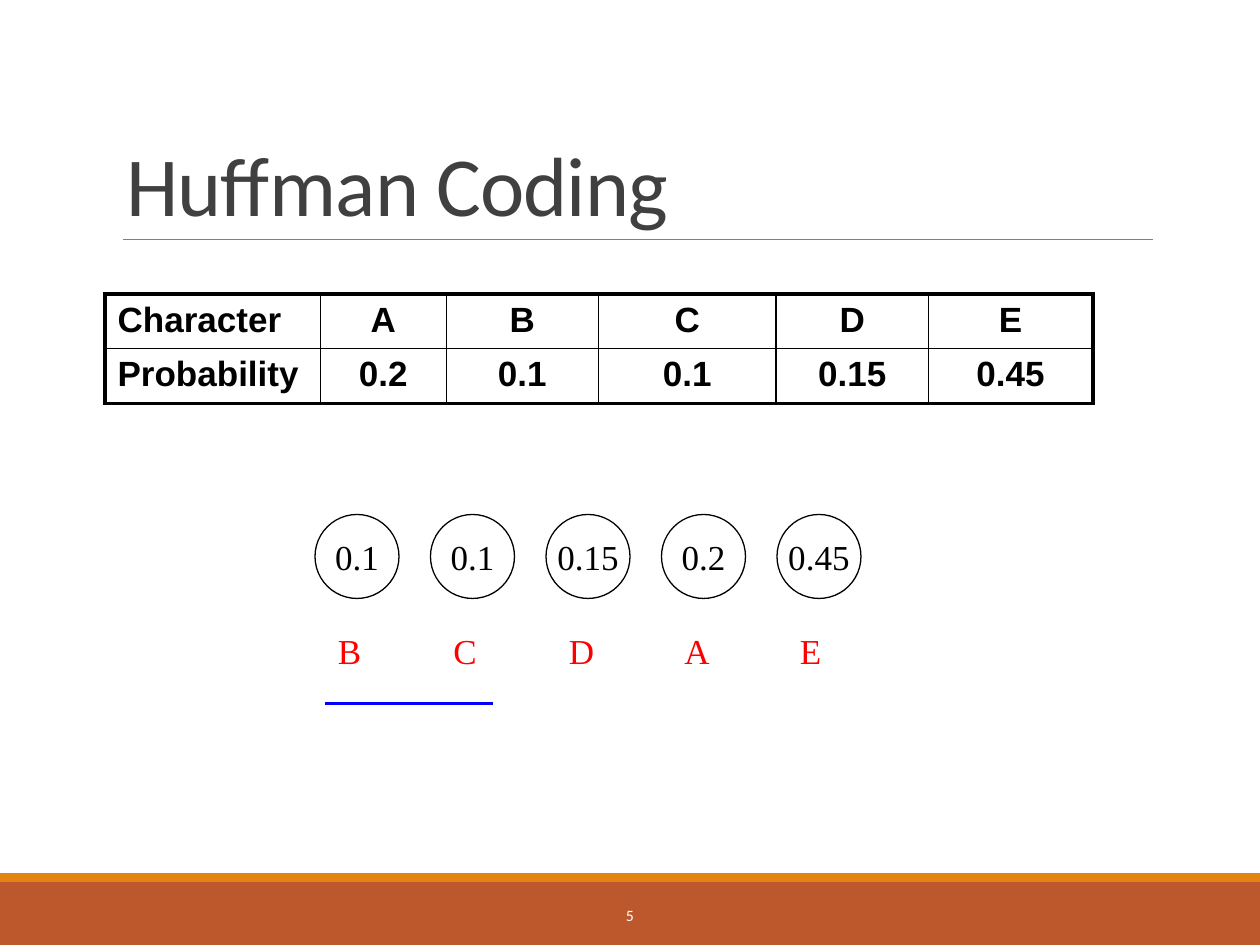
from dataclasses import dataclass

from lxml.etree import SubElement
from pptx import Presentation
from pptx.dml.color import RGBColor
from pptx.enum.shapes import MSO_CONNECTOR, MSO_SHAPE
from pptx.enum.text import MSO_ANCHOR, PP_ALIGN
from pptx.oxml import parse_xml
from pptx.oxml.ns import nsdecls, qn
from pptx.util import Pt


@dataclass(frozen=True)
class Theme:
    black: str = "000000"
    white: str = "FFFFFF"
    title: str = "404040"
    rule: str = "808080"
    band: str = "BD582C"
    stripe: str = "E48312"
    label: str = "FF0000"
    mark: str = "0000FF"
    title_size: float = 48
    body_size: float = 20
    number_size: float = 9
    title_font: str = "Calibri"
    table_font: str = "Arial"
    node_font: str = "Times New Roman"
    thin: float = 1
    thick: float = 2.25


THEME = Theme()
SYMBOLS = [("A", "0.2"), ("B", "0.1"), ("C", "0.1"), ("D", "0.15"), ("E", "0.45")]


def rgb(color):
    return RGBColor.from_string(color)


def write(tf, text, font, size, color, align=PP_ALIGN.LEFT, bold=False):
    p = tf.paragraphs[0]
    p.text = text
    p.alignment = align
    p.font.name, p.font.size, p.font.bold = font, Pt(size), bold
    p.font.color.rgb = rgb(color)
    return p


def add_text(shapes, box, *style, **options):
    tf = shapes.add_textbox(*map(Pt, box)).text_frame
    tf.word_wrap = True
    tf.vertical_anchor = MSO_ANCHOR.MIDDLE
    write(tf, *style, **options)


def add_rule(shapes, x, y, width, color, weight):
    line = shapes.add_connector(MSO_CONNECTOR.STRAIGHT, Pt(x), Pt(y), Pt(x + width), Pt(y))
    line.line.color.rgb = rgb(color)
    line.line.width = Pt(weight)
    SubElement(line._element.spPr, qn("a:effectLst"))


def add_band(shapes, box, color):
    sp = shapes.add_shape(MSO_SHAPE.RECTANGLE, *map(Pt, box))
    sp.shadow.inherit = False
    sp.fill.solid()
    sp.fill.fore_color.rgb = rgb(color)
    sp.line.fill.background()


def add_footer(s, x, y, width, height):
    stripe = 5
    add_band(s.shapes, (x, y + stripe, width, height - stripe), THEME.band)
    add_band(s.shapes, (x, y, width, stripe), THEME.stripe)
    add_text(s.shapes, (x + 217.5, y + 9.5, 285, 28.75), "5", THEME.title_font,
             THEME.number_size, THEME.white, align=PP_ALIGN.CENTER)


def add_title(s, x, y, width, height):
    title = s.shapes.title
    title.left, title.top, title.width, title.height = map(Pt, (x, y, width, height))
    tf = title.text_frame
    tf.word_wrap = True
    tf.vertical_anchor = MSO_ANCHOR.BOTTOM
    p = write(tf, "Huffman Coding", THEME.title_font, THEME.title_size, THEME.title)
    p.line_spacing = 0.85
    p.runs[0]._r.get_or_add_rPr().set("spc", "-50")
    add_rule(s.shapes, x + 5.5, y + height, width - 5.5, THEME.rule, 0.5)


def set_borders(cell, weights):
    """Draw the left, right, top and bottom borders of a cell."""
    tc_pr = cell._tc.get_or_add_tcPr()
    for i, (side, weight) in enumerate(zip("LRTB", weights)):
        tc_pr.insert(i, parse_xml(
            f'<a:ln{side} {nsdecls("a")} w="{Pt(weight)}"><a:solidFill>'
            f'<a:srgbClr val="{THEME.black}"/></a:solidFill></a:ln{side}>'))


def add_probability_table(s, x, y, widths, row_height):
    rows = list(zip(("Character", "Probability"), *SYMBOLS))
    last_row, last_col = len(rows) - 1, len(widths) - 1
    table = s.shapes.add_table(len(rows), len(widths), Pt(x), Pt(y), Pt(sum(widths)),
                               Pt(row_height * len(rows))).table
    for col, width in zip(table.columns, widths):
        col.width = Pt(width)
    for r, texts in enumerate(rows):
        table.rows[r].height = Pt(row_height)
        for c, text in enumerate(texts):
            cell = table.cell(r, c)
            cell.fill.background()
            write(cell.text_frame, text, THEME.table_font, THEME.body_size, THEME.black,
                  align=PP_ALIGN.CENTER if c else PP_ALIGN.LEFT, bold=True)
            outer = (c == 0, c == last_col, r == 0, r == last_row)
            set_borders(cell, [THEME.thick if edge else THEME.thin for edge in outer])


def add_node(shapes, x, y, size, text):
    sp = shapes.add_shape(MSO_SHAPE.OVAL, Pt(x), Pt(y), Pt(size), Pt(size))
    sp.shadow.inherit = False
    sp.fill.background()
    sp.line.color.rgb = rgb(THEME.black)
    sp.line.width = Pt(0.75)
    tf = sp.text_frame
    tf.word_wrap = False
    tf.vertical_anchor = MSO_ANCHOR.MIDDLE
    write(tf, text, THEME.node_font, THEME.body_size, THEME.black, align=PP_ALIGN.CENTER)


def add_queue(s, x, y, size, pitch):
    nodes = s.shapes.add_group_shape().shapes
    labels = s.shapes.add_group_shape().shapes
    # Symbols wait in order of rising probability
    queue = sorted(SYMBOLS, key=lambda symbol: float(symbol[1]))
    for i, (name, probability) in enumerate(queue):
        left = x + i * pitch
        add_node(nodes, left, y, size, probability)
        add_text(labels, (left + 6, y + 60, 31, 36), name, THEME.node_font,
                 THEME.body_size, THEME.label)
    # Underline the two least probable symbols
    add_rule(s.shapes, x + 6, y + 108, 96, THEME.mark, THEME.thick)


def main():
    prs = Presentation()
    prs.slide_width, prs.slide_height = Pt(720), Pt(540)
    s = prs.slides.add_slide(prs.slide_layouts[5])
    add_footer(s, 0, 499, 720, 41)
    add_title(s, 65, 22.5, 594, 114.5)
    add_probability_table(s, 60, 168, [123, 72, 87, 101.5, 87, 94], 31.25)
    add_queue(s, 180, 294, 48, 66)
    prs.save("out.pptx")


if __name__ == "__main__":
    main()
